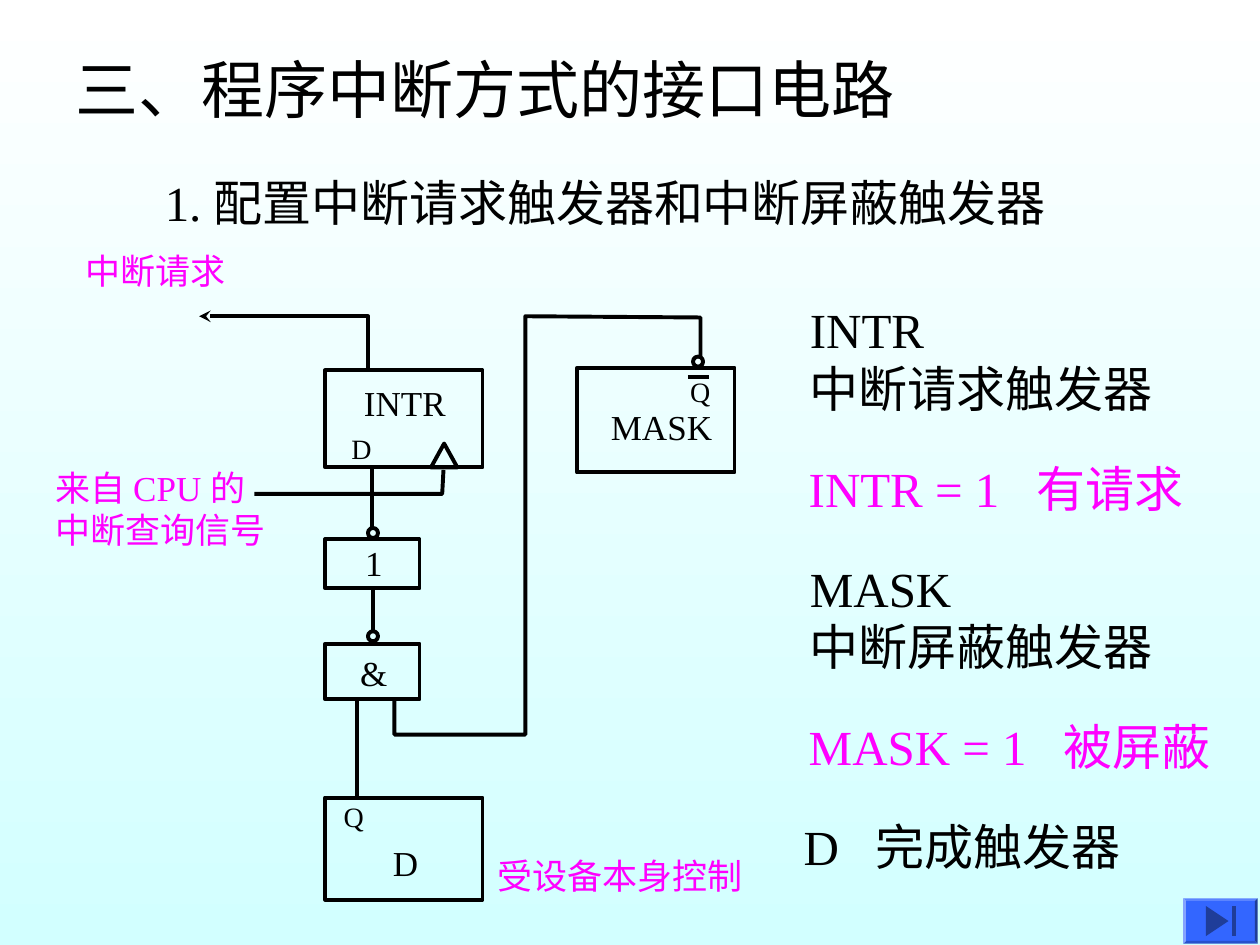
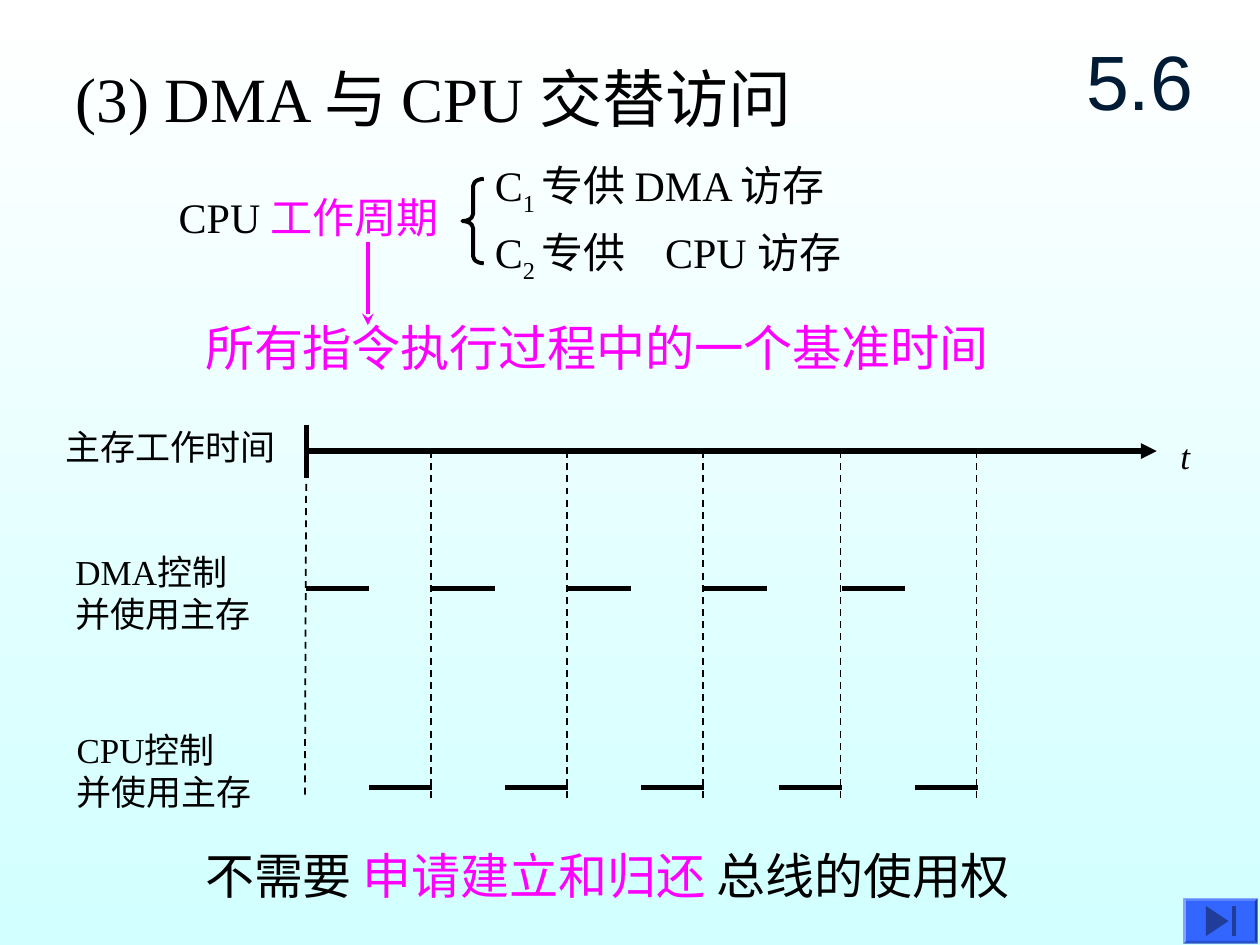
"""Build two lecture slides on interrupt interface circuits and DMA timing."""
from pptx import Presentation
from pptx.dml.color import RGBColor
from pptx.enum.dml import MSO_LINE
from pptx.enum.shapes import MSO_CONNECTOR, MSO_SHAPE
from pptx.enum.text import MSO_ANCHOR, MSO_AUTO_SIZE, PP_ALIGN
from pptx.oxml.ns import qn
from pptx.util import Pt
from lxml.etree import SubElement

PX = 9144
BLACK = RGBColor(0, 0, 0)
PINK = RGBColor(0xFF, 0, 0xFF)
NAVY = RGBColor(0, 0x1B, 0x36)
BLUE = RGBColor(0x33, 0x66, 0xFF)
DARK = RGBColor(0x1F, 0x3D, 0x99)
WHITE = RGBColor(0xFF, 0xFF, 0xFF)
CYAN = RGBColor(0xD2, 0xFF, 0xFF)
SERIF = "Times New Roman"

TITLES = [
    ("三、程序中断方式的接口电路", (50, 35, 700, 70)),
    ("(3) DMA 与 CPU 交替访问", (50, 42, 692, 70)),
]

NOTES = [
    ((121, 132, 760, 57), 28, BLACK, ["1. 配置中断请求触发器和中断屏蔽触发器"], 0),
    ((633, 233, 310, 104), 28, BLACK, ["INTR", "中断请求触发器"], 0),
    ((632, 359, 368, 57), 28, PINK, ["INTR = 1\t有请求"], 181),
    ((633, 438, 310, 104), 28, BLACK, ["MASK", "中断屏蔽触发器"], 0),
    ((632, 564, 368, 57), 28, PINK, ["MASK = 1\t被屏蔽"], 202),
    ((628, 643, 290, 57), 28, BLACK, ["D\t完成触发器"], 57),
    ((34, 365, 200, 77), 20, PINK, ["来自 CPU 的", "中断查询信号"], 0),
    ((385, 673, 230, 44), 20, PINK, ["受设备本身控制"], 0),
    ((58, 193, 140, 44), 20, PINK, ["中断请求"], 0),
]
PINS = [
    ("D", 302, 663, 20), ("Q", 263, 630, 16), ("&", 276, 512, 20),
    ("1", 280, 425, 20), ("INTR", 279, 298, 20), ("D", 269, 338, 16),
    ("MASK", 475, 317, 20), ("Q", 538, 292, 16),
]
GATES = [
    (258, 633, 125, 81), (258, 511, 75, 44), (258, 428, 75, 39),
    (258, 294, 125, 77), (458, 292, 125, 83),
]
DOTS = [(292, 501), (292, 419), (550, 283)]
WIRES = [
    [(283, 556), (283, 633)],
    [(295, 371), (295, 420)],
    [(296, 467), (296, 502)],
    [(546, 299), (563, 299)],
    [(202, 392), (351, 392), (352, 373)],
    [(313, 556), (313, 583), (417, 583), (417, 251), (556, 252), (556, 284)],
]
REQUEST = [(292, 293), (292, 251), (158, 251)]

LABELS = [
    ((42, 333, 200, 44), 20, BLACK, ["主存工作时间"], 0),
    ((50, 432, 170, 77), 20, BLACK, ["DMA控制", "并使用主存"], 0),
    ((51, 573, 170, 77), 20, BLACK, ["CPU控制", "并使用主存"], 0),
    ((132, 147, 252, 50), 24, BLACK, [[("CPU ", BLACK), ("工作周期", PINK)]], 0),
    ((383, 122, 442, 56), 24, BLACK,
     [[("C", BLACK), ("1 ", BLACK, -25), ("专供 DMA 访存", BLACK)]], 0),
    ((383, 175, 383, 56), 24, BLACK,
     [[("C", BLACK), ("2 ", BLACK, -25), ("专供\tCPU 访存", BLACK)]], 135),
    ((153, 247, 760, 57), 28, PINK, ["所有指令执行过程中的一个基准时间"], 0),
    ((153, 666, 803, 57), 28, BLACK,
     [[("不需要 ", BLACK), ("申请建立和归还 ", PINK), ("总线的使用权", BLACK)]], 0),
]
AXIS, DMA, CPU, START, SLOT = 358, 467, 625, 243, 50
TICKS = [round(342 + 108.25 * k) for k in range(5)]


def emu(*nums):
    return [n * PX for n in nums]


def write(para, runs, size, color, font=SERIF):
    for text, tint, *base in [(runs, color)] if isinstance(runs, str) else runs:
        run = para.add_run()
        run.text = text
        run.font.size, run.font.name = Pt(size), font
        run.font.color.rgb = tint
        if base:
            run._r.get_or_add_rPr().set("baseline", str(base[0] * 1000))


def label(slide, box, size, color, lines, stop=0, font=SERIF):
    frame = slide.shapes.add_textbox(*emu(*box)).text_frame
    frame.word_wrap = True
    for k, line in enumerate(lines):
        para = frame.add_paragraph() if k else frame.paragraphs[0]
        if stop:
            tabs = SubElement(para._p.get_or_add_pPr(), qn("a:tabLst"))
            SubElement(tabs, qn("a:tab"), pos=str(stop * PX), algn="l")
        write(para, line, size, color, font)
    return frame


def stroke(item, color, width, tail=None):
    item.line.color.rgb = color
    item.line.width = Pt(width)
    if tail:
        SubElement(item.line._get_or_add_ln(), qn("a:tailEnd"), type=tail)


def rule(slide, start, end, width=2.25, color=BLACK, tail=None, dash=False):
    line = slide.shapes.add_connector(MSO_CONNECTOR.STRAIGHT, *emu(*start, *end))
    if dash:
        line.line.dash_style = MSO_LINE.DASH
    stroke(line, color, width, tail)
    SubElement(line._element.spPr, qn("a:effectLst"))


def trace(slide, dots, close=False):
    pen = slide.shapes.build_freeform(*dots[0], scale=PX)
    pen.add_line_segments(dots[1:], close=close)
    item = pen.convert_to_shape()
    item.shadow.inherit = False
    return item


def wire(slide, dots, tail=None):
    item = trace(slide, dots)
    item.fill.background()
    stroke(item, BLACK, 2.25, tail)


def outline(slide, kind, *box):
    item = slide.shapes.add_shape(kind, *emu(*box))
    item.shadow.inherit = False
    item.fill.background()
    stroke(item, BLACK, 2.25)
    return item


def paint(item, color):
    item.fill.solid()
    item.fill.fore_color.rgb = color
    item.line.fill.background()


def button(slide):
    face = slide.shapes.add_shape(MSO_SHAPE.BEVEL, *emu(939, 713, 59, 36))
    face.shadow.inherit = False
    face.adjustments[0] = 0.06
    paint(face, BLUE)
    for dots in ([(975, 731), (957, 743), (957, 719)],
                 [(978, 719), (978, 743), (981, 743), (981, 719)]):
        paint(trace(slide, dots, True), DARK)


def page(deck, text, box):
    slide = deck.slides.add_slide(deck.slide_layouts[5])
    title = slide.shapes.title
    title.left, title.top, title.width, title.height = emu(*box)
    frame = title.text_frame
    frame.auto_size = MSO_AUTO_SIZE.NONE
    frame.vertical_anchor = MSO_ANCHOR.TOP
    frame.paragraphs[0].alignment = PP_ALIGN.LEFT
    write(frame.paragraphs[0], text, 36, BLACK)
    return slide


def circuit(slide):
    for note in NOTES:
        label(slide, *note)
    for text, left, top, size in PINS:
        label(slide, (left, top, 110, 44), size, BLACK, [text])
    for gate in GATES:
        outline(slide, MSO_SHAPE.RECTANGLE, *gate)
    for left, top in DOTS:
        outline(slide, MSO_SHAPE.OVAL, left, top, 8, 8)
    outline(slide, MSO_SHAPE.ISOSCELES_TRIANGLE, 342, 352, 21, 19)
    for dots in WIRES:
        if len(dots) == 2:
            rule(slide, *dots)
        else:
            wire(slide, dots)
    wire(slide, REQUEST, "stealth")


def timing(slide):
    for item in LABELS:
        label(slide, *item)
    mark = label(slide, (927, 340, 40, 44), 20, BLACK, ["t"])
    mark.paragraphs[0].runs[0].font.italic = True
    part = label(slide, (842, 17, 125, 92), 44, NAVY, ["5.6"], font="Arial")
    part.vertical_anchor = MSO_ANCHOR.MIDDLE
    part.paragraphs[0].alignment = PP_ALIGN.CENTER
    brace = outline(slide, MSO_SHAPE.LEFT_BRACE, 367, 142, 17, 67)
    brace.adjustments[0] = 0.33
    rule(slide, (292, 192), (292, 258), color=PINK, tail="stealth")
    rule(slide, (START, 337), (START, 379), 3)
    rule(slide, (START, AXIS), (918, AXIS), 3, tail="triangle")
    rule(slide, (START, 384), (START - 1, 632), 1, dash=True)
    for x in TICKS:
        rule(slide, (x, AXIS), (x, 634), 1, dash=True)
    bars = [(x + 1, DMA) for x in [START - 1] + TICKS[:-1]]
    bars += [(x + 1 - SLOT, CPU) for x in TICKS]
    for x, y in bars:
        rule(slide, (x, y), (x + SLOT, y), 3)


def main():
    deck = Presentation()
    deck.slide_width, deck.slide_height = emu(1000, 750)
    fill = deck.slide_master.background.fill
    fill.gradient()
    fill.gradient_angle = 270
    for stop, color in zip(fill.gradient_stops, (WHITE, CYAN)):
        stop.color.rgb = color
    for title, draw in zip(TITLES, (circuit, timing)):
        slide = page(deck, *title)
        draw(slide)
        button(slide)
    deck.save("out.pptx")


if __name__ == "__main__":
    main()
